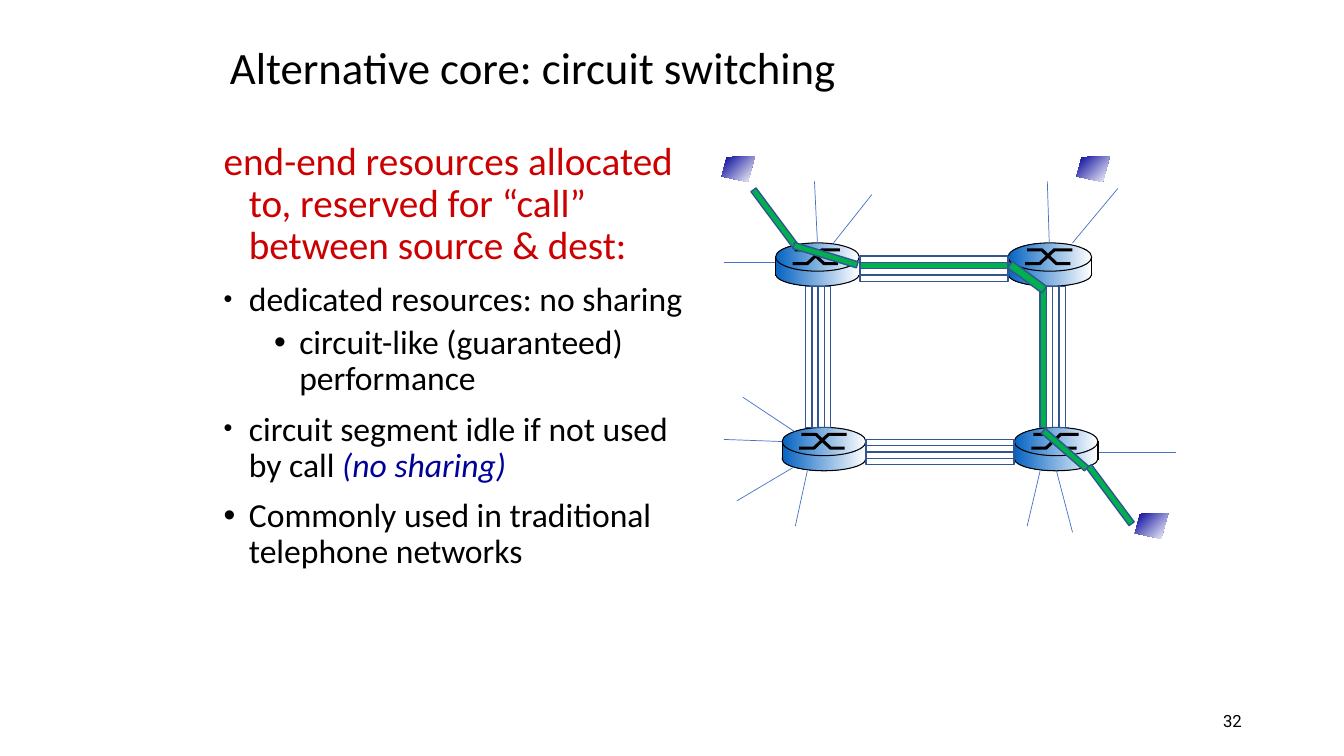
from lxml.etree import SubElement as Sub
from pptx import Presentation
from pptx.dml.color import RGBColor
from pptx.enum.shapes import MSO_CONNECTOR as Conn, MSO_SHAPE as Kind
from pptx.enum.text import MSO_ANCHOR as Anchor, MSO_AUTO_SIZE as Fit, PP_ALIGN as Align
from pptx.oxml.ns import qn
from pptx.util import Pt

# Content
TITLE = "Alternative core: circuit switching"
RED, BLACK, NAVY = "CC0000", "000000", "000099"
BLUE, WHITE, GREEN = "0563C1", "FFFFFF", "00B050"
EDGE, THIN = "325491", "4472C4"
# level, bullet size in percent (0 for none), runs
BODY = [
    (0, 0, [("end-end resources allocated to, reserved for “call” between source & dest:",
             dict(size=28, hue=RED))]),
    (0, 75, [("dedicated resources: no sharing", {})]),
    (1, 100, [("circuit-like (guaranteed) performance", {})]),
    (0, 75, [("circuit segment idle if not used by call ", {}),
             ("(no sharing)", dict(hue=NAVY, slant=True))]),
    (0, 100, [("Commonly used in traditional telephone networks", {})]),
]

# Network, in points
HOSTS = [(515.5, 111.6), (769, 111.6), (810.7, 366.5)]
HOST_EDGE = [(23.8, 0), (3.6, 0.7), (0, 14.4), (18.7, 18.4)]
ROUTERS = [(554, 173.5), (720, 173.5), (558.7, 305.3), (724.5, 305.3)]
CROSS = [[(12.2, 14.8), (22.7, 14.8), (33.1, 5), (46, 5)],
         [(13.7, 5), (24.2, 5), (34.6, 14.8), (44.6, 14.8)]]
LANE = 4.5
# left, top, length, upright, lane in use
LINKS = [(614.2, 182.9, 105.8, False, 1), (618.5, 313.9, 105.8, False, None),
         (575.4, 204.5, 100.8, True, None), (743, 204.5, 100.8, True, 0)]
# left, top, length, thickness, turn
CALL = [(527.8, 154.1, 51.8, LANE, 53.3), (767.5, 351.4, 51.1, LANE, 53.3),
        (565.9, 180, 47.5, LANE, 16.9), (740.2, 319, 41, LANE, 41.1),
        (718.6, 195.1, 30.2, 5.8, 36.3)]
ACCESS = [
    (581.8, 129.6, 583.9, 173.5), (622.8, 139, 595.4, 173.5),
    (517, 187.2, 553.7, 187.2), (517, 313.9, 558.7, 315.4),
    (530.6, 283.7, 567.4, 308.2), (526.3, 357.8, 567.4, 333.4),
    (568.1, 375.8, 576.7, 336.2), (840.2, 323.3, 784.8, 323.3),
    (766.1, 380.2, 754.6, 336.2), (733.7, 375.8, 743, 336.2),
    (748.1, 129.6, 749.5, 173.5), (798.5, 134.6, 766.1, 173.5),
]

deck = Presentation()
deck.slide_width, deck.slide_height = Pt(960), Pt(540)
slide = deck.slides.add_slide(deck.slide_layouts[1])
shapes = slide.shapes


def rgb(code):
    return RGBColor.from_string(code)


def write(par, text, size=24, hue=BLACK, slant=False, face="Calibri"):
    run = par.add_run()
    run.text = text
    font = run.font
    font.size, font.name, font.italic = Pt(size), face, slant
    font.color.rgb = rgb(hue)


def place(shape, x, y, w, h):
    shape.left, shape.top, shape.width, shape.height = Pt(x), Pt(y), Pt(w), Pt(h)


def paint(shape, fill=None, fade=None, line=None, width=1):
    """Fill is one colour; fade is a start colour and an angle, ending in white."""
    shape.shadow.inherit = False
    if fade:
        shape.fill.gradient()
        shape.fill.gradient_angle = fade[1]
        for stop, code in zip(shape.fill.gradient_stops, (fade[0], WHITE)):
            stop.color.rgb = rgb(code)
    elif fill:
        shape.fill.solid()
        shape.fill.fore_color.rgb = rgb(fill)
    else:
        shape.fill.background()
    if line:
        shape.line.color.rgb = rgb(line)
        shape.line.width = Pt(width)
    else:
        shape.line.fill.background()


def block(kind, x, y, w, h, turn=0, **look):
    shape = shapes.add_shape(kind, Pt(x), Pt(y), Pt(w), Pt(h))
    shape.rotation = turn
    paint(shape, **look)


def trace(x, y, dots, close, **look):
    spots = [(Pt(x + dx), Pt(y + dy)) for dx, dy in dots]
    path = shapes.build_freeform(*spots[0])
    path.add_line_segments(spots[1:], close=close)
    paint(path.convert_to_shape(), **look)


def link(x1, y1, x2, y2, hue, width):
    line = shapes.add_connector(Conn.STRAIGHT, Pt(x1), Pt(y1), Pt(x2), Pt(y2))
    line.line.color.rgb = rgb(hue)
    line.line.width = Pt(width)
    Sub(line._element.spPr, qn("a:effectLst"))


def router(x, y):
    fade = (BLUE, 0)
    block(Kind.OVAL, x, y + 13.7, 59.8, 17.3, fade=fade, line=BLACK, width=0.75)
    block(Kind.RECTANGLE, x, y + 12, 59.8, 10.8, fade=fade)
    block(Kind.OVAL, x, y, 59.8, 20.2, fade=fade, line=BLACK, width=0.75)
    for dots in CROSS:
        trace(x, y, dots, False, line=BLACK, width=2.25)
    for side in (x, x + 59.8):
        link(side, y + 10, side, y + 23.4, BLACK, 0.75)


# Title
title = shapes.title
place(title, 157, 21.6, 612, 56.9)
frame = title.text_frame
frame.auto_size, frame.vertical_anchor = Fit.NONE, Anchor.MIDDLE
par = frame.paragraphs[0]
par.alignment, par.line_spacing = Align.LEFT, 0.9
write(par, TITLE, size=32)

# List
body = slide.placeholders[1]
place(body, 152.6, 97.2, 351.4, 365.8)
frame = body.text_frame
frame.auto_size, frame.vertical_anchor = Fit.NONE, Anchor.TOP
for n, (level, mark, runs) in enumerate(BODY):
    par = frame.add_paragraph() if n else frame.paragraphs[0]
    par.level, par.line_spacing = level, 0.9
    par.space_before = Pt((5 if level else 10) if n else 0)
    props = par._p.get_or_add_pPr()
    props.set("marL", str(Pt(18 + 36 * level)))
    props.set("indent", str(Pt(-18)))
    if mark:
        Sub(props, qn("a:buSzPct"), val=str(mark * 1000))
        Sub(props, qn("a:buFont"), typeface="Arial")
        Sub(props, qn("a:buChar"), char="•")
    else:
        Sub(props, qn("a:buNone"))
    for text, look in runs:
        write(par, text, **look)

# Hosts and routers
for x, y in HOSTS:
    trace(x, y, HOST_EDGE, True, fade=(NAVY, 315))
for x, y in ROUTERS:
    router(x, y)

# Links of four lanes
for x, y, size, upright, used in LINKS:
    for n in range(4):
        fill = GREEN if n == used else None
        if upright:
            spot = (x + n * LANE, y, LANE, size)
        else:
            spot = (x, y + n * LANE, size, LANE)
        block(Kind.RECTANGLE, *spot, fill=fill, line=EDGE)

# Access lines, then the call's slanted parts
for ends in ACCESS:
    link(*ends, THIN, 0.5)
for x, y, w, h, turn in CALL:
    block(Kind.RECTANGLE, x, y, w, h, turn, fill=GREEN, line=EDGE)

# Page number
page = shapes.add_textbox(Pt(678.2), Pt(500.4), Pt(216), Pt(28.8)).text_frame
page.word_wrap, page.vertical_anchor = True, Anchor.MIDDLE
page.paragraphs[0].alignment = Align.RIGHT
write(page.paragraphs[0], "32", size=12, face="Roboto")

deck.save("out.pptx")
